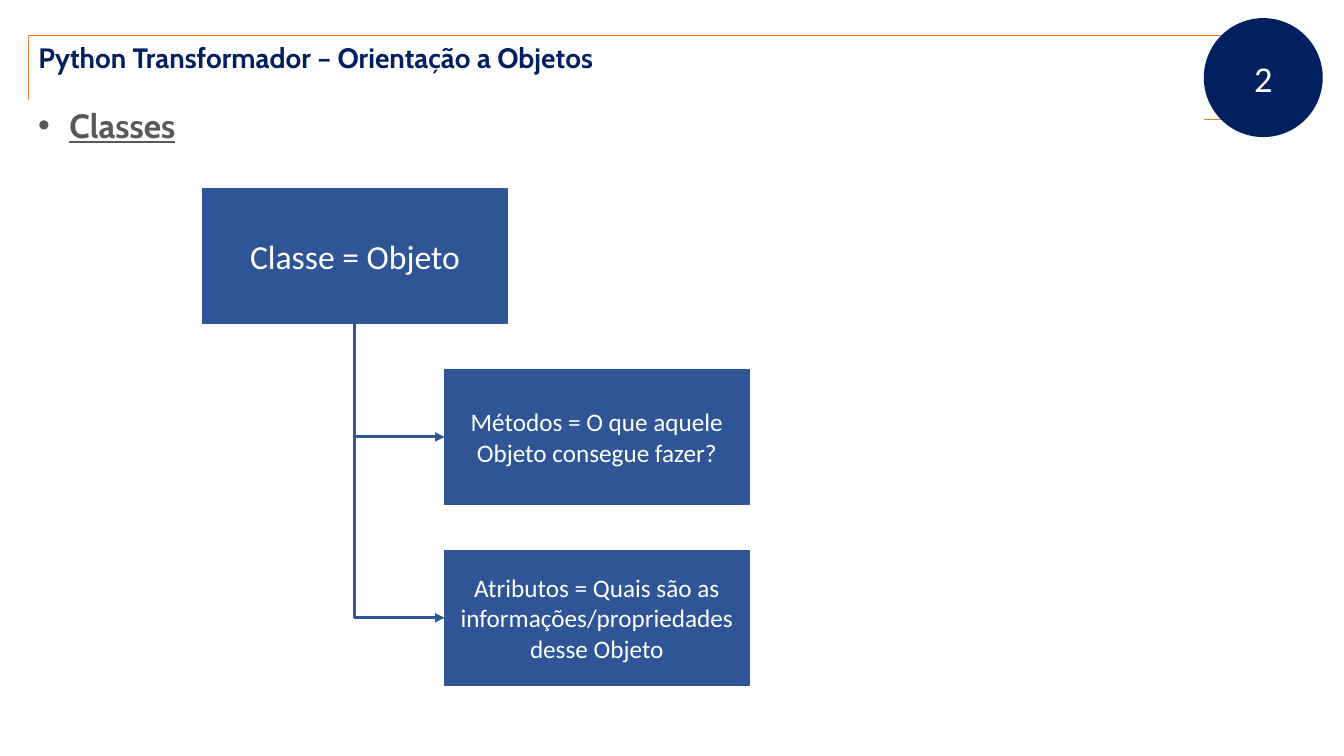
from dataclasses import dataclass

from lxml.etree import SubElement
from pptx import Presentation
from pptx.dml.color import RGBColor
from pptx.enum.shapes import MSO_CONNECTOR, MSO_SHAPE
from pptx.enum.text import MSO_ANCHOR, MSO_AUTO_SIZE, PP_ALIGN
from pptx.oxml.ns import qn
from pptx.shapes.autoshape import Shape
from pptx.slide import Slide
from pptx.util import Inches, Pt

COLORS = {
    "navy": "002060",
    "blue": "2F5597",
    "orange": "ED7D31",
    "gray": "595959",
    "white": "FFFFFF",
}
WIDTH, HEIGHT = Inches(13.33), Inches(7.5)
BOX_W, BOX_H = 22.66, 17.87
BOX_TOP, BOX_STEP = 24.93, 23.93
ROOT_LEFT, CHILD_LEFT = 15.08, 33.08


@dataclass(frozen=True)
class Box:
    left: float
    row: int
    text: str
    size: int


ROOT = Box(ROOT_LEFT, 0, "Classe = Objeto", 24)
CHILDREN = [
    Box(CHILD_LEFT, 1, "Métodos = O que aquele Objeto consegue fazer?", 18),
    Box(CHILD_LEFT, 2,
        "Atributos = Quais são as informações/propriedades desse Objeto", 18),
]


def rgb(name: str) -> RGBColor:
    return RGBColor.from_string(COLORS[name])


def area(left: float, top: float, width: float, height: float) -> tuple[int, ...]:
    return (int(WIDTH * left / 100), int(HEIGHT * top / 100),
            int(WIDTH * width / 100), int(HEIGHT * height / 100))


def write(sp: Shape, text: str, *, size: int, font: str = "Calibri",
          color: str = "white", bold: bool = False, underline: bool = False,
          align: PP_ALIGN = PP_ALIGN.CENTER,
          anchor: MSO_ANCHOR = MSO_ANCHOR.MIDDLE, grow: bool = False) -> None:
    tf = sp.text_frame
    tf.word_wrap = True
    tf.vertical_anchor = anchor
    tf.auto_size = MSO_AUTO_SIZE.SHAPE_TO_FIT_TEXT if grow else MSO_AUTO_SIZE.NONE
    p = tf.paragraphs[0]
    p.alignment = align
    r = p.add_run()
    r.text = text
    r.font.name, r.font.size = font, Pt(size)
    r.font.bold, r.font.underline = bold, underline
    r.font.color.rgb = rgb(color)


def add_filled(s: Slide, kind: MSO_SHAPE, place: tuple[int, ...], fill: str,
               outlined: bool = False) -> Shape:
    sp = s.shapes.add_shape(kind, *place)
    sp.shadow.inherit = False
    sp.fill.solid()
    sp.fill.fore_color.rgb = rgb(fill)
    if outlined:
        sp.line.color.rgb = rgb(fill)
        sp.line.width = Pt(1)
    else:
        sp.line.fill.background()
    return sp


def add_box(s: Slide, box: Box) -> Shape:
    place = area(box.left, BOX_TOP + box.row * BOX_STEP, BOX_W, BOX_H)
    sp = add_filled(s, MSO_SHAPE.RECTANGLE, place, "blue", outlined=True)
    write(sp, box.text, size=box.size)
    return sp


def add_arrow(s: Slide, parent: Shape, child: Shape) -> None:
    x1, y1 = parent.left + parent.width // 2, parent.top + parent.height
    x2, y2 = child.left, child.top + child.height // 2
    run, drop = x2 - x1, y2 - y1
    c = s.shapes.add_connector(MSO_CONNECTOR.ELBOW, x1, y1, x2, y2)
    c.begin_connect(parent, 2)
    c.end_connect(child, 1)
    c.left, c.top = (x1 + x2 - drop) // 2, (y1 + y2 - run) // 2
    c.width, c.height = drop, run
    c.line.color.rgb = rgb("blue")
    c.line.width = Pt(2.25)
    sp_pr = c._element.spPr
    xfrm = sp_pr.find(qn("a:xfrm"))
    xfrm.set("rot", "16200000")
    xfrm.set("flipH", "1")
    sp_pr.find(qn("a:prstGeom")).set("prst", "bentConnector2")
    SubElement(sp_pr.find(qn("a:ln")), qn("a:tailEnd"), type="triangle")
    SubElement(sp_pr, qn("a:effectLst"))


def add_title(s: Slide) -> None:
    sp = s.shapes.title
    sp.left, sp.top, sp.width, sp.height = area(2.1, 4.67, 93.47, 5.87)
    sp.line.color.rgb = rgb("orange")
    sp.line.width = Pt(0.5)
    write(sp, "Python Transformador – Orientação a Objetos", size=20,
          font="Cabin", color="navy", bold=True, align=PP_ALIGN.LEFT,
          anchor=MSO_ANCHOR.TOP, grow=True)


def add_topic(s: Slide) -> None:
    sp = add_filled(s, MSO_SHAPE.RECTANGLE, area(2.1, 13.2, 87.47, 10.8), "white")
    write(sp, "Classes", size=24, font="Cabin", color="gray", bold=True,
          underline=True, align=PP_ALIGN.JUSTIFY, anchor=MSO_ANCHOR.TOP, grow=True)
    p_pr = sp.text_frame.paragraphs[0]._p.get_or_add_pPr()
    indent = Inches(0.31)
    p_pr.set("marL", str(indent))
    p_pr.set("indent", str(-indent))
    SubElement(p_pr, qn("a:buFont"), typeface="Arial")
    SubElement(p_pr, qn("a:buChar"), char="•")


def main() -> None:
    prs = Presentation()
    prs.slide_width, prs.slide_height = WIDTH, HEIGHT
    s = prs.slides.add_slide(prs.slide_layouts[5])
    add_title(s)
    badge = add_filled(s, MSO_SHAPE.OVAL, area(89.57, 2.4, 8.85, 15.73), "navy")
    write(badge, "2", size=26)
    add_topic(s)
    root = add_box(s, ROOT)
    children = [add_box(s, box) for box in CHILDREN]
    for child in children:
        add_arrow(s, root, child)
    prs.save("out.pptx")


if __name__ == "__main__":
    main()
